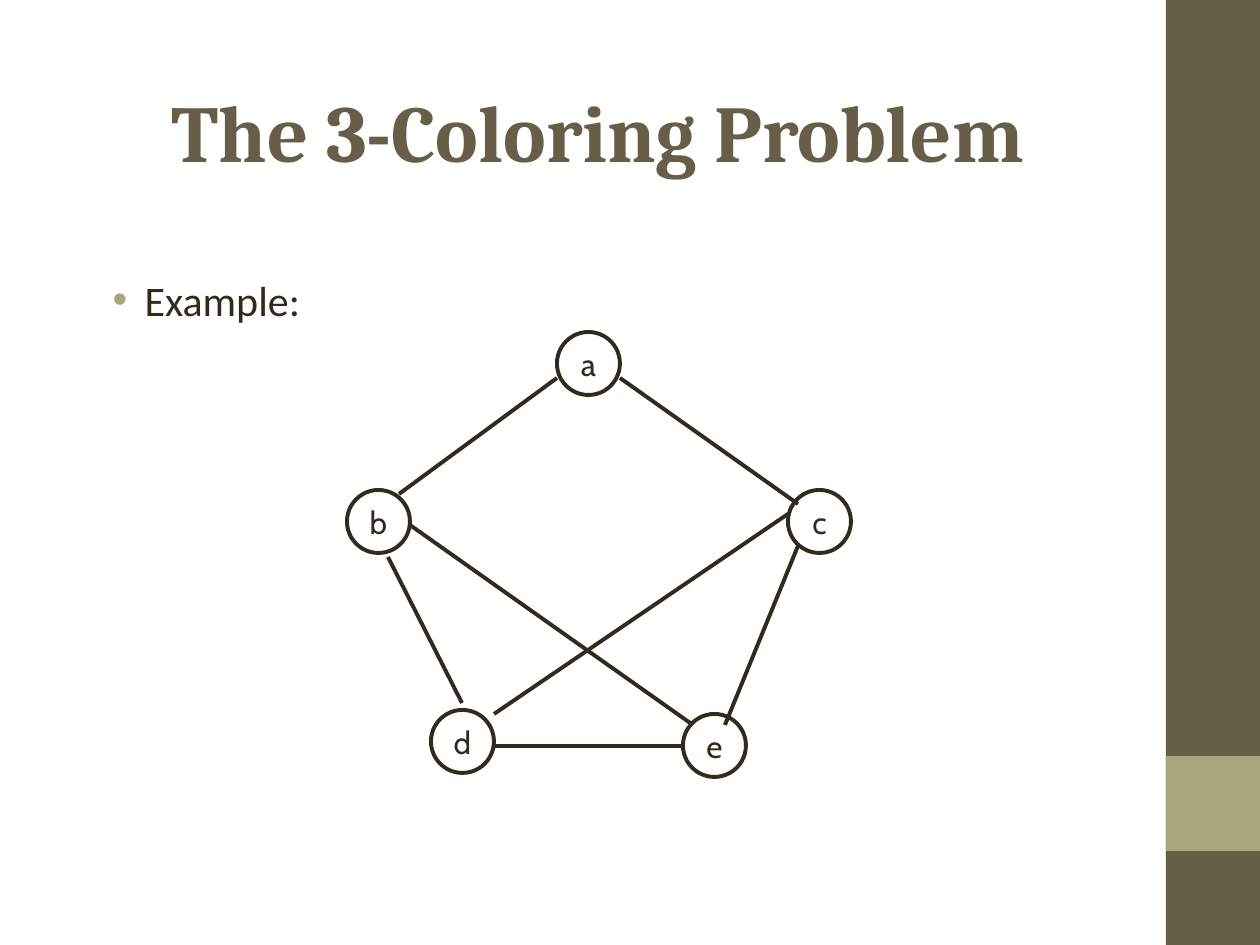
from pptx import Presentation
from pptx import util as u
from pptx.dml.color import RGBColor
from pptx.enum import shapes, text
from pptx.oxml.ns import qn
from lxml import etree

PX = 914400 // 126
BROWN, SAGE, INK = "675E47", "A9A57C", "2F2B20"

TITLE = ("The 3-Coloring Problem", (159, 29, 1074, 202))
BODY = ("Example:", (84, 278, 1160, 80))
SIDEBAR = [(BROWN, (1166, 0, 94, 945)), (SAGE, (1166, 756, 94, 95))]
DIAMETER = 63
NODES = {  # left, top
    "a": (557, 332),
    "b": (347, 490),
    "c": (788, 490),
    "d": (431, 710),
    "e": (683, 714),
}
EDGES = [  # x1, y1, x2, y2
    (557, 378, 399, 494),  # a-b
    (620, 378, 798, 504),  # a-c
    (388, 557, 462, 703),  # b-d
    (410, 525, 693, 725),  # b-e
    (494, 714, 788, 514),  # d-c
    (798, 546, 725, 725),  # c-e
    (494, 746, 683, 746),  # d-e
]


def px(*lengths):
    return [u.Emu(length * PX) for length in lengths]


def color(value):
    return RGBColor.from_string(value)


def place(box, area):
    box.left, box.top, box.width, box.height = px(*area)


def write(box, words, font, size, ink, align, anchor, bold=False):
    frame = box.text_frame
    frame.text = words
    frame.word_wrap = True
    frame.vertical_anchor = anchor
    para = frame.paragraphs[0]
    para.alignment = align
    para.space_before = u.Pt(0)
    style = para.runs[0].font
    style.name, style.size, style.bold = font, u.Pt(size), bold
    style.color.rgb = color(ink)
    return para


def add_bullet(para, symbol, ink, margin, indent):
    props = para._p.get_or_add_pPr()
    props.set("marL", str(margin * PX))
    props.set("indent", str(indent * PX))
    tint = etree.SubElement(props, qn("a:buClr"))
    etree.SubElement(tint, qn("a:srgbClr"), val=ink)
    etree.SubElement(props, qn("a:buFont"), typeface="Arial")
    etree.SubElement(props, qn("a:buChar"), char=symbol)


def add_bar(page, ink, area):
    bar = page.shapes.add_shape(shapes.MSO_SHAPE.RECTANGLE, *px(*area))
    bar.shadow.inherit = False
    bar.fill.solid()
    bar.fill.fore_color.rgb = color(ink)
    bar.line.fill.background()


def outline(line):
    line.color.rgb = color(INK)
    line.width = u.Pt(2.25)


def add_node(page, name, left, top):
    node = page.shapes.add_shape(
        shapes.MSO_SHAPE.OVAL, *px(left, top, DIAMETER, DIAMETER))
    node.shadow.inherit = False
    node.fill.background()
    outline(node.line)
    frame = node.text_frame
    frame.margin_left = frame.margin_right = 0
    frame.margin_top = frame.margin_bottom = 0
    write(node, name, "Cabin", 18, INK,
          text.PP_ALIGN.CENTER, text.MSO_ANCHOR.MIDDLE)


def add_edge(page, ends):
    edge = page.shapes.add_connector(shapes.MSO_CONNECTOR.STRAIGHT, *px(*ends))
    outline(edge.line)
    etree.SubElement(edge._element.spPr, qn("a:effectLst"))


def main():
    deck = Presentation()
    deck.slide_width, deck.slide_height = u.Inches(10), u.Inches(7.5)
    page = deck.slides.add_slide(deck.slide_layouts[1])
    for ink, area in SIDEBAR:
        add_bar(page, ink, area)

    title, body = page.placeholders
    words, area = TITLE
    place(title, area)
    write(title, words, "Cambria", 46, BROWN,
          text.PP_ALIGN.LEFT, text.MSO_ANCHOR.MIDDLE, bold=True)

    words, area = BODY
    place(body, area)
    para = write(body, words, "Calibri", 24, INK,
                 text.PP_ALIGN.LEFT, text.MSO_ANCHOR.TOP)
    para.line_spacing = 0.8
    add_bullet(para, "•", SAGE, 48, -32)

    for name, (left, top) in NODES.items():
        add_node(page, name, left, top)
    for ends in EDGES:
        add_edge(page, ends)
    deck.save("out.pptx")


if __name__ == "__main__":
    main()
